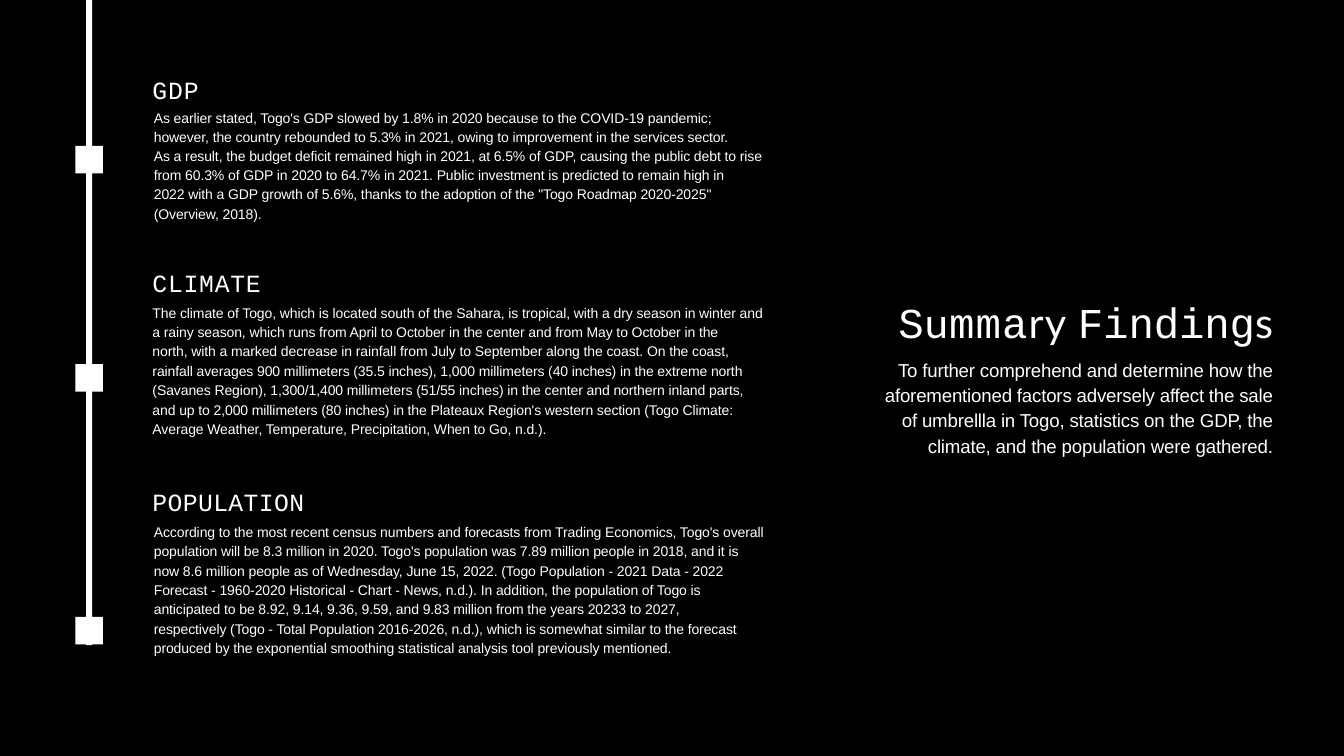
from dataclasses import dataclass

from lxml.etree import SubElement
from pptx import Presentation
from pptx.dml.color import RGBColor
from pptx.enum.shapes import MSO_SHAPE
from pptx.enum.text import MSO_ANCHOR, MSO_AUTO_SIZE, PP_ALIGN
from pptx.oxml.ns import qn
from pptx.util import Inches, Pt

BLACK = RGBColor(0x00, 0x00, 0x00)
WHITE = RGBColor(0xFF, 0xFF, 0xFF)
MONO, SANS, ACCENT = "Courier New", "Arial", "Lato"

# The grid has 20 columns and 11.25 rows of square cells
CELL = Inches(1)
COLUMNS, ROWS = 20, 11.25


@dataclass(frozen=True)
class Area:
    column: float
    row: float
    columns: float
    rows: float


@dataclass(frozen=True)
class Section:
    heading: str
    paragraphs: tuple[str, ...]
    area: Area
    inset: float
    indent: float
    tracking: float
    gap: float
    leading: float


# Line breaks inside a paragraph are written as new lines
SECTIONS = (
    Section("GDP", (
        """As earlier stated, Togo's GDP slowed by 1.8% in 2020 because to the COVID-19 pandemic;
however, the country rebounded to 5.3% in 2021, owing to improvement in the services sector.""",
        """As a result, the budget deficit remained high in 2021, at 6.5% of GDP, causing the public debt to rise
from 60.3% of GDP in 2020 to 64.7% in 2021. Public investment is predicted to remain high in
2022 with a GDP growth of 5.6%, thanks to the adoption of the "Togo Roadmap 2020-2025"
(Overview, 2018).""",
    ), Area(2.26, 0.96, 9.2, 2.37), 0.15, 0.03, 0.9, 2.9, 1.14),
    Section("CLIMATE", (
        """The climate of Togo, which is located south of the Sahara, is tropical, with a dry season in winter and
a rainy season, which runs from April to October in the center and from May to October in the
north, with a marked decrease in rainfall from July to September along the coast. On the coast,
rainfall averages 900 millimeters (35.5 inches), 1,000 millimeters (40 inches) in the extreme north
(Savanes Region), 1,300/1,400 millimeters (51/55 inches) in the center and northern inland parts,
and up to 2,000 millimeters (80 inches) in the Plateaux Region's western section (Togo Climate:
Average Weather, Temperature, Precipitation, When to Go, n.d.).""",
    ), Area(2.26, 3.79, 9.2, 2.75), 0.19, 0.01, 0.8, 4.5, 1.16),
    Section("POPULATION", (
        """According to the most recent census numbers and forecasts from Trading Economics, Togo's overall
population will be 8.3 million in 2020. Togo's population was 7.89 million people in 2018, and it is
now 8.6 million people as of Wednesday, June 15, 2022. (Togo Population - 2021 Data - 2022
Forecast - 1960-2020 Historical - Chart - News, n.d.). In addition, the population of Togo is
anticipated to be 8.92, 9.14, 9.36, 9.59, and 9.83 million from the years 20233 to 2027,
respectively (Togo - Total Population 2016-2026, n.d.), which is somewhat similar to the forecast
produced by the exponential smoothing statistical analysis tool previously mentioned.""",
    ), Area(2.26, 7.05, 9.2, 2.75), 0.19, 0.03, 0.4, 4.5, 1.16),
)

TITLE_SPANS = (("S", MONO), ("u", ACCENT), ("mma", MONO), ("ry ", ACCENT),
               ("Finding", MONO), ("s", ACCENT))
SUMMARY = """To further comprehend and determine how the
aforementioned factors adversely affect the sale
of umbrellla in Togo, statistics on the GDP, the
climate, and the population were gathered."""


def cells(count: float) -> int:
    return round(count * CELL)


def place(shape, area: Area) -> None:
    shape.left, shape.top = cells(area.column), cells(area.row)
    shape.width, shape.height = cells(area.columns), cells(area.rows)


def paint(shape, color: RGBColor) -> None:
    shape.shadow.inherit = False
    shape.fill.solid()
    shape.fill.fore_color.rgb = color
    shape.line.fill.background()


def prepare_frame(shape, inset: float = 0):
    frame = shape.text_frame
    frame.word_wrap = True
    frame.auto_size = MSO_AUTO_SIZE.NONE
    frame.vertical_anchor = MSO_ANCHOR.TOP
    frame.margin_left = frame.margin_right = frame.margin_bottom = 0
    frame.margin_top = cells(inset)
    return frame


def style_font(font, name: str, size: float) -> None:
    font.name, font.size = name, Pt(size)
    font.color.rgb = WHITE


def track(span, points: float) -> None:
    span.font._element.set("spc", str(round(points * 100)))


def write(para, text: str, name: str, size: float, tracking: float,
          indent: float = 0, leading: float = 1, gap: float = 0) -> None:
    para.text = text.replace("\n", "\v")
    properties = para._p.get_or_add_pPr()
    properties.set("marL", str(cells(indent)))
    properties.set("indent", "0")
    para.line_spacing, para.space_before = leading, Pt(gap)
    SubElement(properties, qn("a:buNone"))
    style_font(para.font, name, size)
    for span in para.runs:
        track(span, tracking)


def draw_backdrop(page) -> None:
    backdrop = page.shapes.add_shape(MSO_SHAPE.RECTANGLE, 0, 0, cells(COLUMNS), cells(ROWS))
    paint(backdrop, BLACK)
    # Send it behind the placeholders
    page.shapes._spTree.insert(2, backdrop._element)


def draw_section(page, section: Section) -> None:
    box = page.shapes.add_textbox(0, 0, 0, 0)
    place(box, section.area)
    frame = prepare_frame(box, section.inset)
    write(frame.paragraphs[0], section.heading, MONO, 26.5, section.tracking, 0.01)
    for number, text in enumerate(section.paragraphs):
        gap = 0.1 if number else section.gap
        write(frame.add_paragraph(), text, SANS, 15, -0.1,
              section.indent, section.leading, gap)


def draw_rail(page, center: float, end: float, markers: tuple[float, ...]) -> None:
    """Draw a vertical rail with square markers as one outline."""
    stem, half, side = 0.045, 0.205, 0.41
    right = [(stem, 0.0)]
    for top in markers:
        right += [(stem, top), (half, top), (half, top + side), (stem, top + side)]
    right.append((stem, end))
    left = [(-x, y) for x, y in reversed(right)]
    points = [(cells(center + x), cells(y)) for x, y in right + left]
    builder = page.shapes.build_freeform(*points[0])
    builder.add_line_segments(points[1:], close=True)
    paint(builder.convert_to_shape(), WHITE)


def draw_summary(page) -> None:
    title, body = page.shapes.title, page.placeholders[1]
    place(title, Area(13.37, 4.4, 5.9, 0.8))
    para = prepare_frame(title).paragraphs[0]
    para.alignment, para.line_spacing = PP_ALIGN.LEFT, 1
    for text, name in TITLE_SPANS:
        span = para.add_run()
        span.text = text
        style_font(span.font, name, 45.5 if name == MONO else 44.5)
        track(span, -0.2 if text == "Finding" else 1.1)

    place(body, Area(12.84, 5.29, 6.1, 1.53))
    para = prepare_frame(body).paragraphs[0]
    write(para, SUMMARY, SANS, 20, -0.22, leading=1.13)
    para.alignment = PP_ALIGN.RIGHT


def main() -> None:
    deck = Presentation()
    deck.slide_width, deck.slide_height = cells(COLUMNS), cells(ROWS)
    page = deck.slides.add_slide(deck.slide_layouts[1])

    # Black backdrop, then title and summary on the right
    draw_backdrop(page)
    draw_summary(page)
    # Findings along the timeline on the left
    for section in SECTIONS:
        draw_section(page, section)
    draw_rail(page, center=1.325, end=9.6, markers=(2.17, 5.42, 9.18))
    deck.save("out.pptx")


if __name__ == "__main__":
    main()
